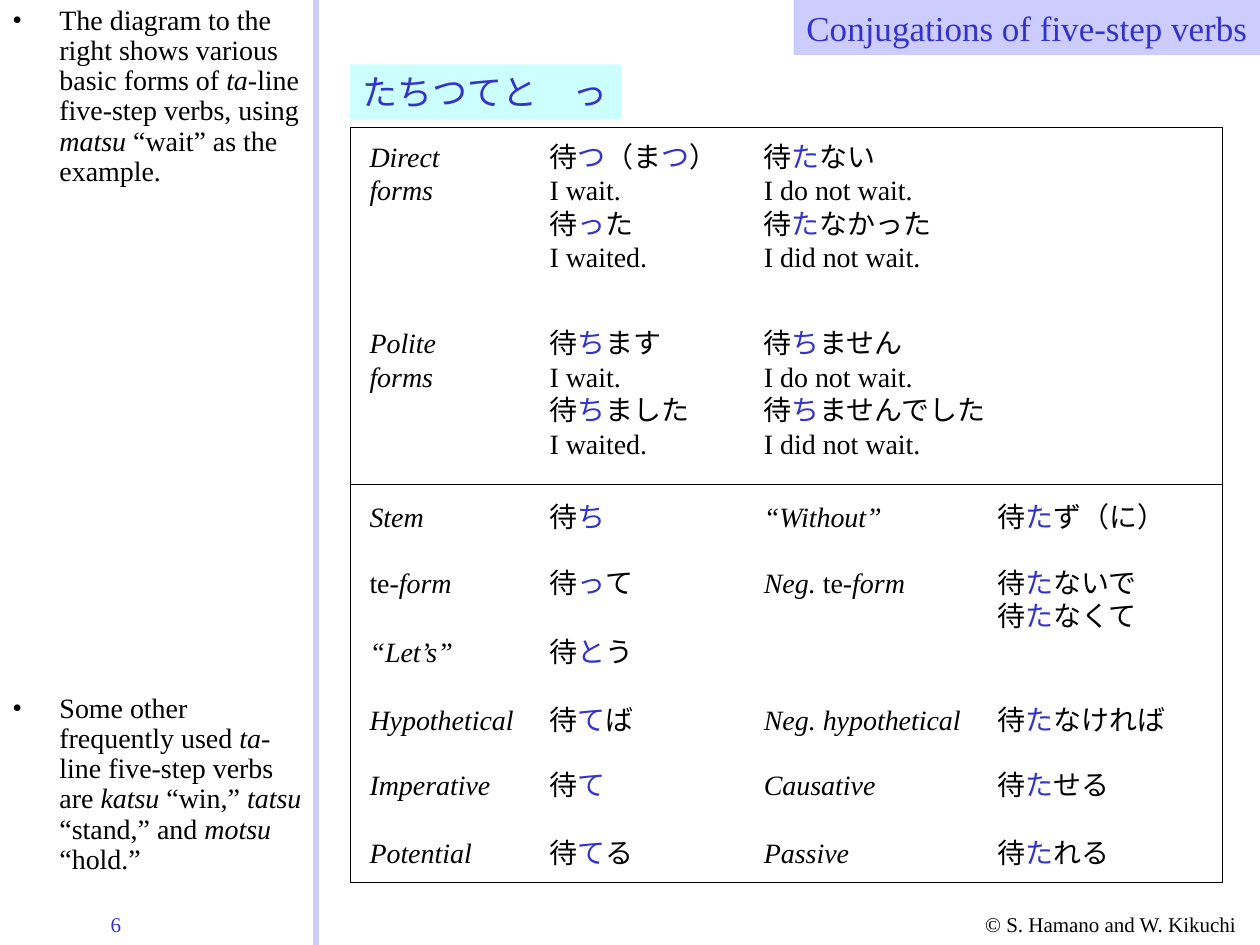
from lxml import etree
from pptx import Presentation
from pptx.dml.color import RGBColor
from pptx.enum.shapes import MSO_CONNECTOR, MSO_SHAPE
from pptx.enum.text import MSO_ANCHOR, MSO_AUTO_SIZE, PP_ALIGN
from pptx.oxml.ns import qn
from pptx.util import Cm, Pt

RECT = MSO_SHAPE.RECTANGLE
STRAIGHT = MSO_CONNECTOR.STRAIGHT
TOP = MSO_ANCHOR.TOP
GROW = MSO_AUTO_SIZE.SHAPE_TO_FIT_TEXT
FIXED = MSO_AUTO_SIZE.NONE
LEFT = PP_ALIGN.LEFT
RIGHT = PP_ALIGN.RIGHT
FONT = "Times New Roman"
BLACK, BLUE, LILAC, AQUA = "000000", "3333CC", "CCCCFF", "CCFFFF"


def rgb(value):
    return RGBColor.from_string(value)


def add_text(text, x, y, w, h, size=16, color=BLACK, fill=None, align=LEFT,
             wrap=True, grow=True, bullet=False):
    if fill:
        sp = s.shapes.add_shape(RECT, Cm(x), Cm(y), Cm(w), Cm(h))
        sp.shadow.inherit = False
        sp.fill.solid()
        sp.fill.fore_color.rgb = rgb(fill)
        sp.line.fill.background()
    else:
        sp = s.shapes.add_textbox(Cm(x), Cm(y), Cm(w), Cm(h))
    tf = sp.text_frame
    tf.word_wrap = wrap
    tf.auto_size = GROW if grow else FIXED
    tf.vertical_anchor = TOP
    for i, line in enumerate(text.split("\n")):
        p = tf.paragraphs[0] if i == 0 else tf.add_paragraph()
        p.alignment = align
        if bullet:
            pPr = p._p.get_or_add_pPr()
            pPr.set("marL", str(Cm(0.95)))
            pPr.set("indent", str(-Cm(0.95)))
            clr = etree.SubElement(pPr, qn("a:buClr"))
            etree.SubElement(clr, qn("a:srgbClr"), val=BLACK)
            etree.SubElement(pPr, qn("a:buFont"), typeface=FONT)
            etree.SubElement(pPr, qn("a:buChar"), char="•")
            p.line_spacing = 0.9
        for j, styled in enumerate(line.split("*")):
            for k, part in enumerate(styled.split("|")):
                if part:
                    r = p.add_run()
                    r.text = part
                    r.font.name = FONT
                    r.font.size = Pt(size)
                    r.font.italic = j % 2 == 1
                    r.font.color.rgb = rgb(BLUE if k % 2 else color)


prs = Presentation()
prs.slide_width, prs.slide_height = Cm(25.4), Cm(19.05)
s = prs.slides.add_slide(prs.slide_layouts[6])

add_text("© S. Hamano and W. Kikuchi", 19.61, 18.26, 5.79, 0.76, size=12)
add_text("6", 1.98, 18.26, 2.26, 0.76, size=12, color=BLUE)

divider = s.shapes.add_connector(STRAIGHT, Cm(6.37), 0, Cm(6.37), Cm(19.05))
divider.line.color.rgb = rgb(LILAC)
divider.line.width = Pt(3)
etree.SubElement(divider._element.spPr, qn("a:effectLst"))

add_text("The diagram to the right shows various basic forms of *ta-*line five-step verbs, "
         "using *matsu* “wait” as the example.",
         0, 0, 6.38, 4.45, grow=False, bullet=True)
add_text("Some other frequently used *ta-*line five-step verbs are *katsu* “win,” "
         "*tatsu* “stand,” and *motsu* “hold.”",
         0, 13.87, 6.38, 3.91, bullet=True)

add_text("Conjugations of five-step verbs", 16, 0, 9.4, 1.11, size=20, color=BLUE,
         fill=LILAC, align=RIGHT, wrap=False)
add_text("たちつてと　っ", 7.06, 1.3, 5.46, 1.11, size=20, color=BLUE, fill=AQUA, wrap=False)

columns = [7.2, 10.83, 15.15, 19.86]
heights = {1: 0.94, 2: 1.63, 4: 2.97}
rows = [
    (2.68, [("*Direct*\n*forms*", 2.1),
            ("待|つ|（ま|つ|）\nI wait.\n待|っ|た\nI waited.", 4),
            ("待|た|ない\nI do not wait.\n待|た|なかった\nI did not wait.", 4)]),
    (6.44, [("*Polite*\n*forms*", 2),
            ("待|ち|ます\nI wait.\n待|ち|ました\nI waited.", 3.5),
            ("待|ち|ません\nI do not wait.\n待|ち|ませんでした\nI did not wait.", 5.2)]),
    (9.94, [("*Stem*", 1.8), ("待|ち|", 1.8), ("*“Without”*", 3.1), ("待|た|ず（に）", 4)]),
    (11.27, [("te*-form*", 2.4), ("待|っ|て", 4.3), ("*Neg. *te*-form*", 3.6),
             ("待|た|ないで\n待|た|なくて", 3.5)]),
    (12.66, [("*“Let’s”*", 2.4), ("待|と|う", 2.4)]),
    (14.03, [("*Hypothetical*", 3.6), ("待|て|ば", 2.4), ("*Neg. hypothetical*", 4.7),
             ("待|た|なければ", 4)]),
    (15.34, [("*Imperative*", 3.2), ("待|て|", 1.8), ("*Causative*", 3),
             ("待|た|せる", 3)]),
    (16.71, [("*Potential*", 2.8), ("待|て|る", 2.4), ("*Passive*", 2.5),
             ("待|た|れる", 3)]),
]
for y, cells in rows:
    for x, (text, w) in zip(columns, cells):
        add_text(text, x, y, w, heights[text.count("\n") + 1])

for y, h in [(2.57, 7.2), (9.77, 8.02)]:
    frame = s.shapes.add_shape(RECT, Cm(7.06), Cm(y), Cm(17.58), Cm(h))
    frame.shadow.inherit = False
    frame.fill.background()
    frame.line.color.rgb = rgb(BLACK)
    frame.line.width = Pt(0.75)

prs.save("out.pptx")
